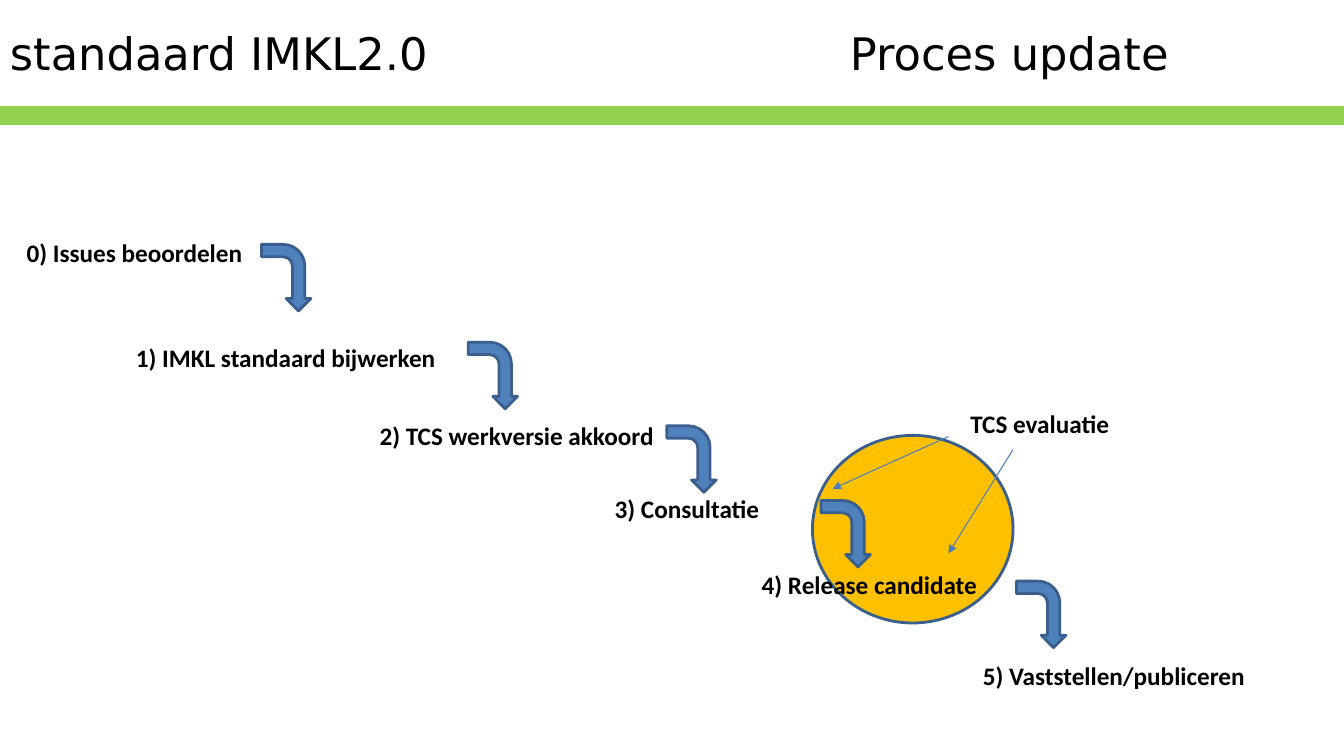
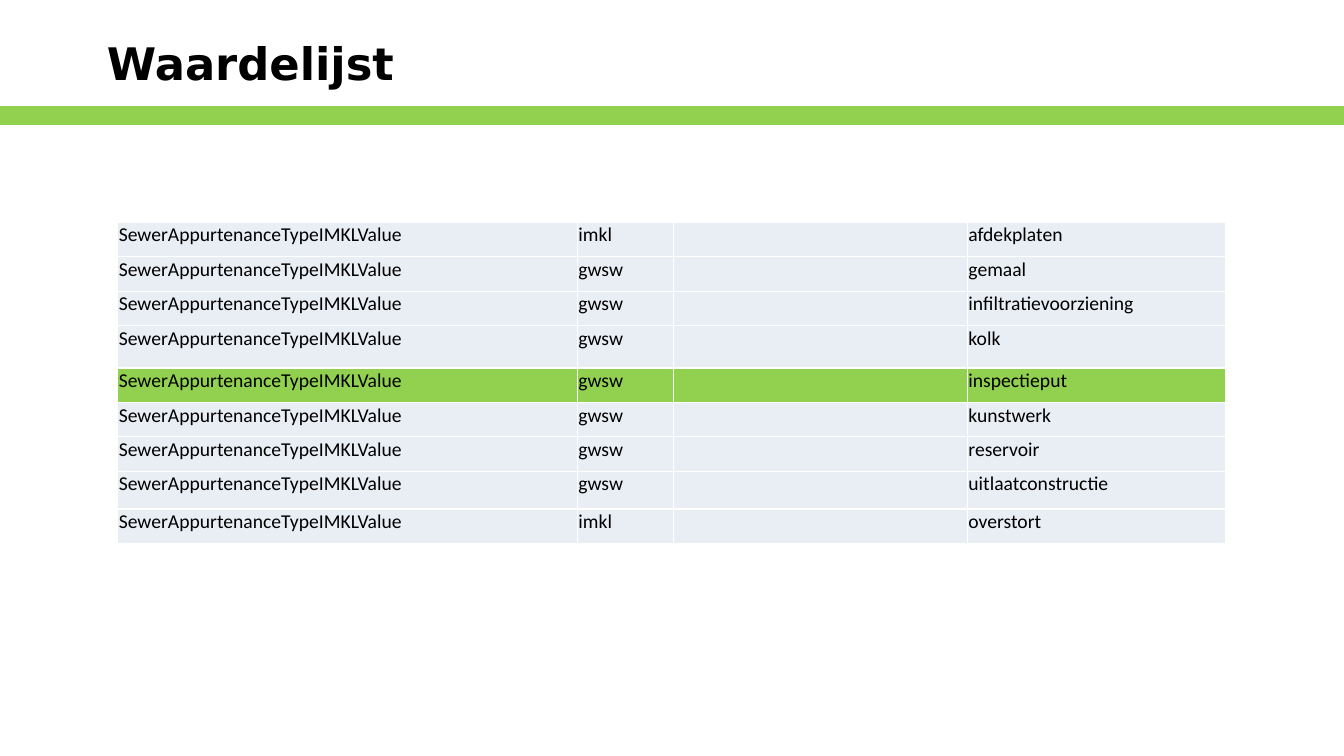
import lxml.etree
import pptx
import pptx.dml.color
import pptx.enum.shapes
import pptx.enum.text
import pptx.oxml
import pptx.oxml.ns
import pptx.util

Pt = pptx.util.Pt
SHAPES = pptx.enum.shapes.MSO_SHAPE
ALIGN = pptx.enum.text.PP_ALIGN
ANCHOR = pptx.enum.text.MSO_ANCHOR
qn = pptx.oxml.ns.qn

SLIDE_WIDTH, SLIDE_HEIGHT = 960, 540
GREEN, ORANGE, BLUE = "92D050", "FFC000", "4F81BD"
OUTLINE, POINTER, PALE = "3A5F8C", "4B7EBC", "E9EDF4"
BLACK, WHITE = "000000", "FFFFFF"
TITLE_FONT, BODY_FONT = "DejaVu Sans", "Calibri"
LABEL_HEIGHT = 29
ARROW_SIZE = (47.5, 35.3)

STEPS = [
    ("0) Issues beoordelen", (0, 0, 169), (168.7, 14.7)),
    ("1) IMKL standaard bijwerken", (78, 75, 230), (316.3, 84.6)),
    ("2) TCS werkversie akkoord", (252, 130.5, 212), (458.2, 144.3)),
    ("3) Consultatie", (420, 183, 119), (568.3, 197.6)),
    ("4) Release candidate", (525, 237, 169), (708, 255.2)),
    ("5) Vaststellen/publiceren", (683, 302, 203), None),
]
EVALUATION = ("TCS evaluatie", (674, 122, 114.5))
EVALUATION_POINTERS = [
    ((665.5, 145.8), (582.7, 183.2)),
    ((711.6, 155.1), (665.5, 229.3)),
]
VALUE_TYPE = "SewerAppurtenanceTypeIMKLValue"
VALUES = [
    ("imkl", "afdekplaten"),
    ("gwsw", "gemaal"),
    ("gwsw", "infiltratievoorziening"),
    ("gwsw", "kolk"),
    ("gwsw", "inspectieput"),
    ("gwsw", "kunstwerk"),
    ("gwsw", "reservoir"),
    ("gwsw", "uitlaatconstructie"),
    ("imkl", "overstort"),
]
HIGHLIGHT = "inspectieput"
COLUMN_WIDTHS = [328.3, 68.4, 210.2, 184.3]
ROW_HEIGHT = 24.6
TALL_ROWS = {"kolk": 30.4, "uitlaatconstructie": 27}


def rgb(value):
    """Turn a hex string into a colour."""
    return pptx.dml.color.RGBColor.from_string(value)


def style_runs(paragraph, font, size, bold=False):
    """Format every run of a paragraph in black."""
    for run in paragraph.runs:
        run.font.name = font
        run.font.size = Pt(size)
        run.font.bold = bold
        run.font.color.rgb = rgb(BLACK)


def add_figure(slide, preset, box, fill, outline):
    """Add a filled and outlined preset shape."""
    figure = slide.shapes.add_shape(preset, *map(Pt, box))
    figure.shadow.inherit = False
    figure.fill.solid()
    figure.fill.fore_color.rgb = rgb(fill)
    figure.line.color.rgb = rgb(outline)
    figure.line.width = Pt(2)
    return figure


def add_text(slide, text, box, font, size, bold=False, wrap=True):
    """Add a one-paragraph text box and return its frame."""
    frame = slide.shapes.add_textbox(*map(Pt, box)).text_frame
    frame.word_wrap = wrap
    frame.text = text
    style_runs(frame.paragraphs[0], font, size, bold)
    return frame


def add_pointer(slide, start, end):
    """Add a thin line that ends in an arrowhead."""
    pointer = slide.shapes.add_connector(
        pptx.enum.shapes.MSO_CONNECTOR.STRAIGHT, *map(Pt, start + end))
    pointer.line.color.rgb = rgb(POINTER)
    pointer.line.width = Pt(0.75)
    line = pointer.line._get_or_add_ln()
    lxml.etree.SubElement(line, qn("a:tailEnd"), type="triangle")
    lxml.etree.SubElement(pointer._element.spPr, qn("a:effectLst"))


def add_base_slide(deck):
    """Add a blank slide with the green band."""
    slide = deck.slides.add_slide(deck.slide_layouts[6])
    add_figure(slide, SHAPES.RECTANGLE, (0, 77, SLIDE_WIDTH, 11.5), GREEN, GREEN)
    return slide


def add_title(slide, text, box, bold=False, tab=None):
    """Add a title, with a tab stop when one is given."""
    frame = add_text(slide, text, box, TITLE_FONT, 32, bold)
    if tab:
        properties = frame.paragraphs[0]._p.get_or_add_pPr()
        stops = lxml.etree.SubElement(properties, qn("a:tabLst"))
        lxml.etree.SubElement(stops, qn("a:tab"), pos=str(Pt(tab)), algn="l")
    return frame


def add_cascade(slide, left, top):
    """Place the process steps, their arrows and the evaluation."""
    def shift(point):
        return left + point[0], top + point[1]

    add_figure(slide, SHAPES.OVAL, shift((568.3, 145)) + (143.3, 134), ORANGE, OUTLINE)
    labels = [(text, place) for text, place, _ in STEPS] + [EVALUATION]
    for text, place in labels:
        box = shift(place) + (place[2], LABEL_HEIGHT)
        add_text(slide, text, box, BODY_FONT, 18, bold=True, wrap=False)
    for _, _, corner in STEPS:
        if corner:
            arrow = add_figure(
                slide, SHAPES.BENT_ARROW, shift(corner) + ARROW_SIZE, BLUE, OUTLINE)
            arrow.rotation = 90
    for start, end in EVALUATION_POINTERS:
        add_pointer(slide, shift(start), shift(end))


def add_borders(cell):
    """Give a cell white borders, ahead of its fill."""
    properties = cell._tc.get_or_add_tcPr()
    for position, side in enumerate(("lnL", "lnR", "lnT", "lnB")):
        border = pptx.oxml.parse_xml(
            f'<a:{side} {pptx.oxml.ns.nsdecls("a")} w="{Pt(1)}"><a:solidFill>'
            f'<a:srgbClr val="{WHITE}"/></a:solidFill></a:{side}>')
        properties.insert(position, border)


def fill_cell(cell, text, colour):
    """Set the text, margins, fill and borders of a cell."""
    cell.text = text
    cell.margin_left = cell.margin_right = cell.margin_top = Pt(0.7)
    cell.margin_bottom = 0
    style_runs(cell.text_frame.paragraphs[0], BODY_FONT, 14)
    cell.fill.solid()
    cell.fill.fore_color.rgb = rgb(colour)
    add_borders(cell)


def add_value_table(slide, left, top):
    """Place the value list as a table."""
    heights = [TALL_ROWS.get(value, ROW_HEIGHT) for _, value in VALUES]
    table = slide.shapes.add_table(
        len(VALUES), len(COLUMN_WIDTHS), Pt(left), Pt(top),
        Pt(sum(COLUMN_WIDTHS)), Pt(sum(heights))).table
    table.first_row = table.horz_banding = False
    for column, width in zip(table.columns, COLUMN_WIDTHS):
        column.width = Pt(width)
    for row, height, (origin, value) in zip(table.rows, heights, VALUES):
        row.height = Pt(height)
        colour = GREEN if value == HIGHLIGHT else PALE
        for cell, text in zip(row.cells, (VALUE_TYPE, origin, "", value)):
            fill_cell(cell, text, colour)


def build_process_slide(deck):
    """Build the slide with the update process."""
    slide = add_base_slide(deck)
    add_title(slide, "standaard IMKL2.0\tProces update",
              (0, 15, SLIDE_WIDTH, 60), tab=600)
    add_cascade(slide, 12, 166)


def build_values_slide(deck):
    """Build the slide with the value list."""
    slide = add_base_slide(deck)
    add_value_table(slide, 84.2, 158.8)
    title = add_title(slide, "Waardelijst", (0, 0, 358, 90), bold=True)
    title.vertical_anchor = ANCHOR.MIDDLE
    title.paragraphs[0].alignment = ALIGN.CENTER


def main():
    """Build and save the deck."""
    deck = pptx.Presentation()
    deck.slide_width, deck.slide_height = Pt(SLIDE_WIDTH), Pt(SLIDE_HEIGHT)
    build_process_slide(deck)
    build_values_slide(deck)
    deck.save("out.pptx")


if __name__ == "__main__":
    main()
